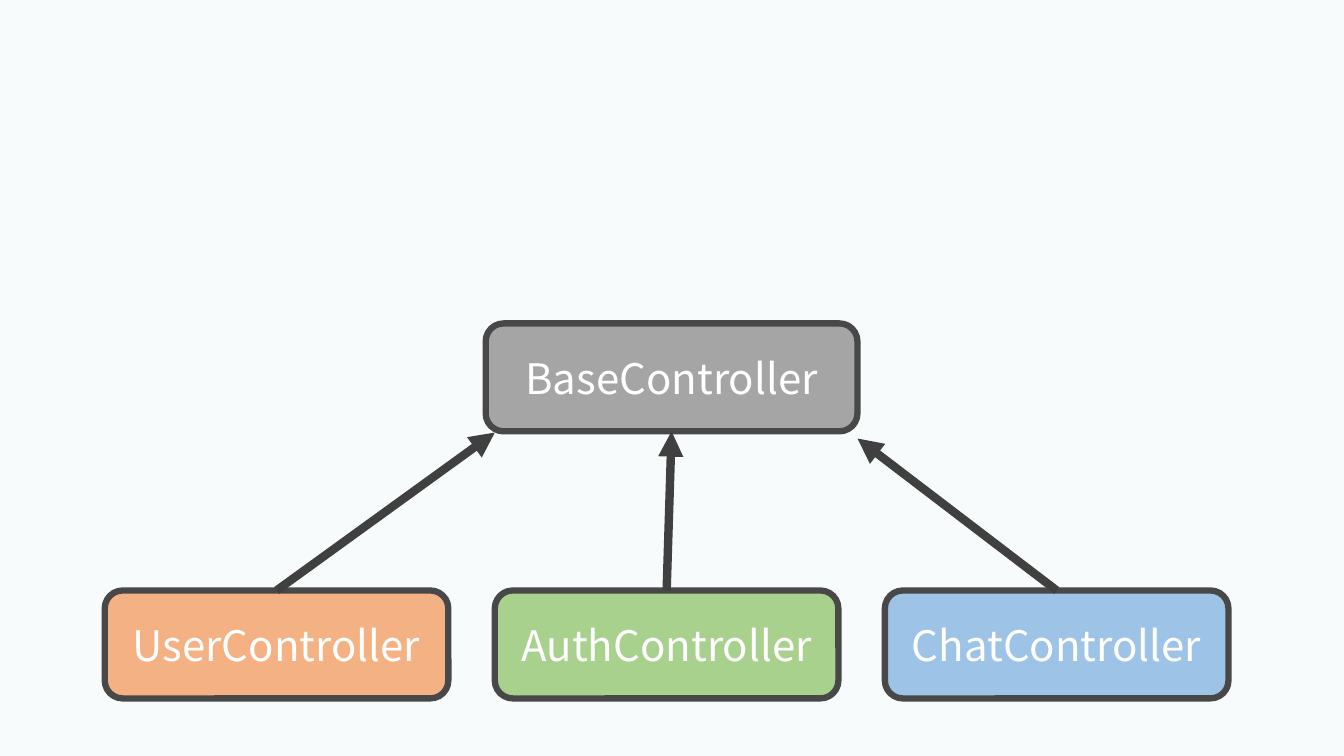
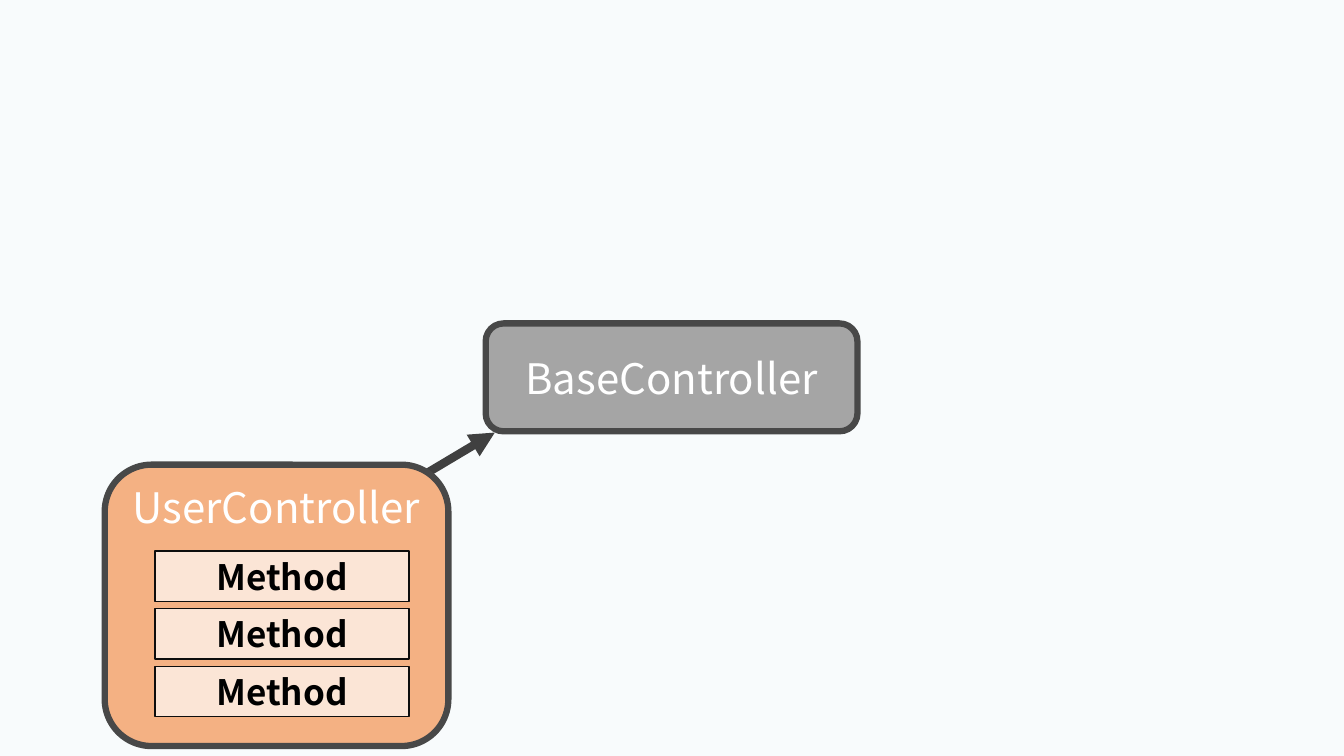
from collections import namedtuple

from pptx import Presentation
from pptx.dml.color import RGBColor
from pptx.enum.shapes import MSO_CONNECTOR, MSO_SHAPE
from pptx.enum.text import MSO_ANCHOR, PP_ALIGN
from pptx.oxml.ns import qn
from pptx.util import Cm, Pt
from lxml import etree

STRAIGHT = MSO_CONNECTOR.STRAIGHT
ROUNDED, RECTANGLE = MSO_SHAPE.ROUNDED_RECTANGLE, MSO_SHAPE.RECTANGLE
MIDDLE, CENTER = MSO_ANCHOR.MIDDLE, PP_ALIGN.CENTER
TOP, BOTTOM = 0, 2

BACKGROUND = RGBColor(0xF8, 0xFB, 0xFC)
WHITE = RGBColor(0xFF, 0xFF, 0xFF)
BLACK = RGBColor(0x00, 0x00, 0x00)
GRAY = RGBColor(0xA5, 0xA5, 0xA5)
ORANGE = RGBColor(0xF4, 0xB1, 0x83)
GREEN = RGBColor(0xA9, 0xD1, 0x8E)
BLUE = RGBColor(0x9D, 0xC3, 0xE6)
PEACH = RGBColor(0xFB, 0xE5, 0xD6)
OUTLINE = RGBColor(0x48, 0x48, 0x48)
ARROW = RGBColor(0x40, 0x40, 0x40)
METHOD_LINE = RGBColor(0x0D, 0x0D, 0x0D)
FONT = "Noto Sans CJK KR"

# Regions in centimetres
Region = namedtuple("Region", "left top width height")
BASE = Region(12.24, 8.15, 9.37, 2.72)
CHILD = Region(2.64, 14.88, 8.66, 2.72)
CHILD_STEP = 9.83
USER_CLASS = Region(2.64, 11.71, 8.66, 7.09)
BASE_LEFT_CORNER = (BASE.left + 0.23, BASE.top + BASE.height + 0.03)
BASE_RIGHT_CORNER = (BASE.left + BASE.width, BASE.top + BASE.height + 0.18)


def add_page(deck):
    page = deck.slides.add_slide(deck.slide_layouts[6])
    page.background.fill.solid()
    page.background.fill.fore_color.rgb = BACKGROUND
    return page


def add_box(page, kind, region, text, fill, line, line_width, size, color, bold=False):
    box = page.shapes.add_shape(kind, *(Cm(length) for length in region))
    box.shadow.inherit = False
    box.fill.solid()
    box.fill.fore_color.rgb = fill
    box.line.color.rgb = line
    box.line.width = Pt(line_width)
    frame = box.text_frame
    frame.text = text
    frame.word_wrap = True
    frame.vertical_anchor = MIDDLE
    para = frame.paragraphs[0]
    para.alignment = CENTER
    font = para.runs[0].font
    font.name, font.size, font.bold = FONT, Pt(size), bold
    font.color.rgb = color
    return box


def add_controller(page, region, name, fill):
    return add_box(page, ROUNDED, region, name, fill, OUTLINE, 4.5, 30, WHITE)


def add_arrow(page, start, end):
    arrow = page.shapes.add_connector(STRAIGHT, *(Cm(length) for length in start + end))
    arrow.line.color.rgb = ARROW
    arrow.line.width = Pt(6)
    etree.SubElement(arrow.line._get_or_add_ln(), qn("a:tailEnd"), type="triangle")
    etree.SubElement(arrow._element.spPr, qn("a:effectLst"))
    return arrow


def add_class_box(page, region):
    """Controller with its name at the top and its methods below."""
    box = add_controller(page, region, "UserController", ORANGE)
    box.text_frame.margin_bottom = Cm(5.1)
    for index in range(3):
        method = Region(region.left + 1.27, region.top + 2.18 + index * 1.45, 6.4, 1.27)
        add_box(page, RECTANGLE, method, "Method", PEACH, METHOD_LINE, 1, 25, BLACK, True)


def build_inheritance(deck):
    page = add_page(deck)
    base = add_controller(page, BASE, "BaseController", GRAY)
    base_middle = (BASE.left + BASE.width / 2, BASE.top + BASE.height)
    children = (
        ("UserController", ORANGE, BASE_LEFT_CORNER),
        ("AuthController", GREEN, base_middle),
        ("ChatController", BLUE, BASE_RIGHT_CORNER),
    )
    for index, (name, fill, target) in enumerate(children):
        region = CHILD._replace(left=CHILD.left + index * CHILD_STEP)
        child = add_controller(page, region, name, fill)
        arrow = add_arrow(page, (region.left + region.width / 2, region.top), target)
        arrow.begin_connect(child, TOP)
        if target == base_middle:
            arrow.end_connect(base, BOTTOM)


def build_methods(deck):
    page = add_page(deck)
    add_controller(page, BASE, "BaseController", GRAY)
    # The arrow starts behind the rounded corner of the class box
    corner = (USER_CLASS.left + USER_CLASS.width - 0.96, USER_CLASS.top + 0.46)
    add_arrow(page, corner, BASE_LEFT_CORNER)
    add_class_box(page, USER_CLASS)


def main():
    deck = Presentation()
    deck.slide_width, deck.slide_height = Cm(33.87), Cm(19.05)
    build_inheritance(deck)
    build_methods(deck)
    deck.save("out.pptx")


if __name__ == "__main__":
    main()
